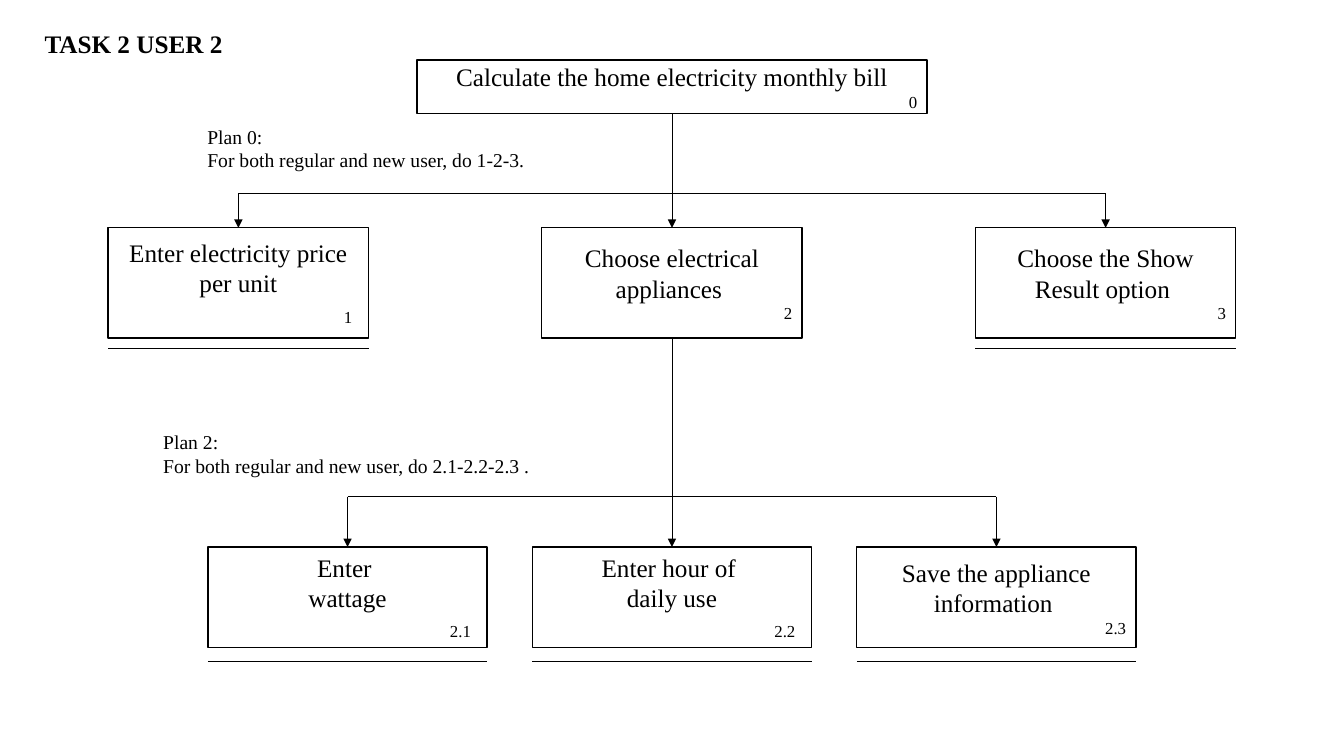
import pptx
import pptx.util
import pptx.dml.color
import pptx.enum.shapes
import pptx.enum.text
import pptx.oxml.ns
import lxml.etree

ALIGN = pptx.enum.text.PP_ALIGN
ANCHOR = pptx.enum.text.MSO_ANCHOR
FIT = pptx.enum.text.MSO_AUTO_SIZE
SHAPES = pptx.enum.shapes


def px(length):
    """Turn whole pixels (96 to the inch) into EMU."""
    return pptx.util.Emu(length * 9525)


def rgb(value):
    """Turn a hex string into a colour."""
    return pptx.dml.color.RGBColor.from_string(value)


def apply(target, formats):
    """Set every attribute named in a dict of format values."""
    for attribute, value in formats.items():
        setattr(target, attribute, value)


class TaskDiagram:
    """Hold the diagram style and the slide being drawn."""

    font = "Times New Roman"
    ink = "000000"
    paper = "FFFFFF"
    middle = 640

    def __init__(self, slide):
        """Start drawing on a slide."""
        self.slide = slide

    def fill_text(self, frame, paragraphs, align, bold=False):
        """Fill a text frame with paragraphs given as lists of (text, size) runs."""
        for index, pieces in enumerate(paragraphs):
            paragraph = frame.paragraphs[0] if index == 0 else frame.add_paragraph()
            paragraph.alignment = align
            for text, size in pieces:
                run = paragraph.add_run()
                run.text = text
                apply(run.font, {"name": self.font, "size": pptx.util.Pt(size), "bold": bold})
                run.font.color.rgb = rgb(self.ink)

    def note(self, left, top, width, height, lines, size, bold=False):
        """Add an unwrapped block of free text."""
        note = self.slide.shapes.add_textbox(px(left), px(top), px(width), px(height))
        apply(note.text_frame, {"word_wrap": False, "auto_size": FIT.SHAPE_TO_FIT_TEXT})
        self.fill_text(note.text_frame, [[(line, size)] for line in lines], ALIGN.LEFT, bold)

    def task(self, left, top, width, height, lines, number):
        """Add a task box with its number at the lower right."""
        task = self.slide.shapes.add_shape(
            SHAPES.MSO_SHAPE.RECTANGLE, px(left), px(top), px(width), px(height))
        task.shadow.inherit = False
        task.fill.solid()
        task.fill.fore_color.rgb = rgb(self.paper)
        task.line.color.rgb = rgb(self.ink)
        task.line.width = pptx.util.Pt(1)
        apply(task.text_frame, {"word_wrap": True, "vertical_anchor": ANCHOR.MIDDLE})
        digits, gap, _ = number.partition(" ")
        number_runs = [(digits, 12)] + ([(gap, 18)] if gap else [])
        paragraphs = [[(line, 18)] for line in lines] + [number_runs]
        self.fill_text(task.text_frame, paragraphs, ALIGN.CENTER)
        task.text_frame.paragraphs[-1].alignment = ALIGN.RIGHT
        return task

    def line(self, start, end, source=None, target=None):
        """Add a thin line, with an arrowhead where it enters a target task."""
        line = self.slide.shapes.add_connector(
            SHAPES.MSO_CONNECTOR.STRAIGHT, *map(px, start + end))
        line.line.color.rgb = rgb(self.ink)
        line.line.width = pptx.util.Pt(0.5)
        properties = line._element.spPr
        qn = pptx.oxml.ns.qn
        lxml.etree.SubElement(properties, qn("a:effectLst"))
        if source is not None:
            line.begin_connect(source, 2)
        if target is not None:
            line.end_connect(target, 0)
            lxml.etree.SubElement(properties.find(qn("a:ln")), qn("a:tailEnd"), type="triangle")

    def level(self, parent, parent_bottom, bar, top, width, height, step, subtasks):
        """Add three subtasks below a parent and return them."""
        centers = [self.middle + step * offset for offset in (-1, 0, 1)]
        tasks = [self.task(center - width // 2, top, width, height, lines, number)
                 for center, (lines, number) in zip(centers, subtasks)]
        self.line((centers[0], bar), (centers[-1], bar))
        for center, task in zip(centers, tasks):
            if center == self.middle:
                self.line((center, parent_bottom), (center, top), parent, task)
            else:
                self.line((center, bar), (center, top), target=task)
        return tasks

    def underline(self, lefts, y, width):
        """Mark tasks that are not broken down further."""
        for left in lefts:
            self.line((left, y), (left + width, y))


def main():
    """Build the task analysis slide."""
    deck = pptx.Presentation()
    apply(deck, {"slide_width": px(1280), "slide_height": px(720)})
    diagram = TaskDiagram(deck.slides.add_slide(deck.slide_layouts[6]))

    goal = diagram.task(397, 57, 486, 51, ["Calculate the home electricity monthly bill"], "0")
    steps = diagram.level(goal, 108, 184, 217, 248, 105, 413, [
        (["Enter electricity price per unit"], "1 "),
        (["Choose electrical appliances "], "2"),
        (["Choose the Show Result option "], "3"),
    ])
    diagram.level(steps[1], 322, 473, 521, 266, 96, 309, [
        (["Enter ", "wattage"], "2.1 "),
        (["Enter hour of ", "daily use"], "2.2 "),
        (["Save the appliance information "], "2.3"),
    ])
    diagram.underline((103, 929), 332, 248)
    diagram.underline((198, 507, 816), 630, 266)

    diagram.note(33, 22, 191, 38, ["TASK 2 USER 2"], 18, bold=True)
    diagram.note(188, 114, 324, 55,
                 ["Plan 0:", "For both regular and new user, do 1-2-3."], 14)
    diagram.note(146, 405, 371, 55,
                 ["Plan 2:", "For both regular and new user, do 2.1-2.2-2.3 ."], 14)
    deck.save("out.pptx")


if __name__ == "__main__":
    main()
